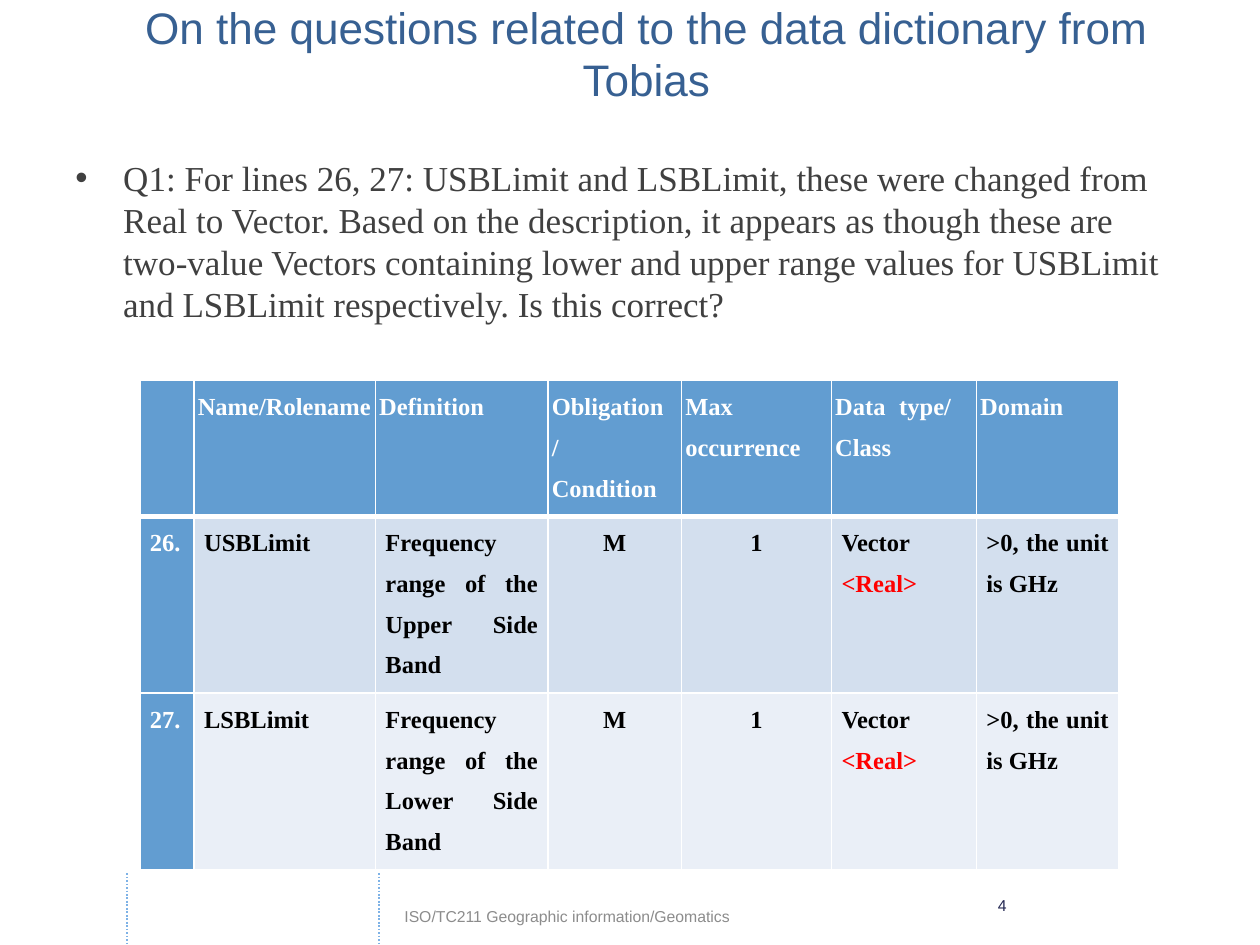
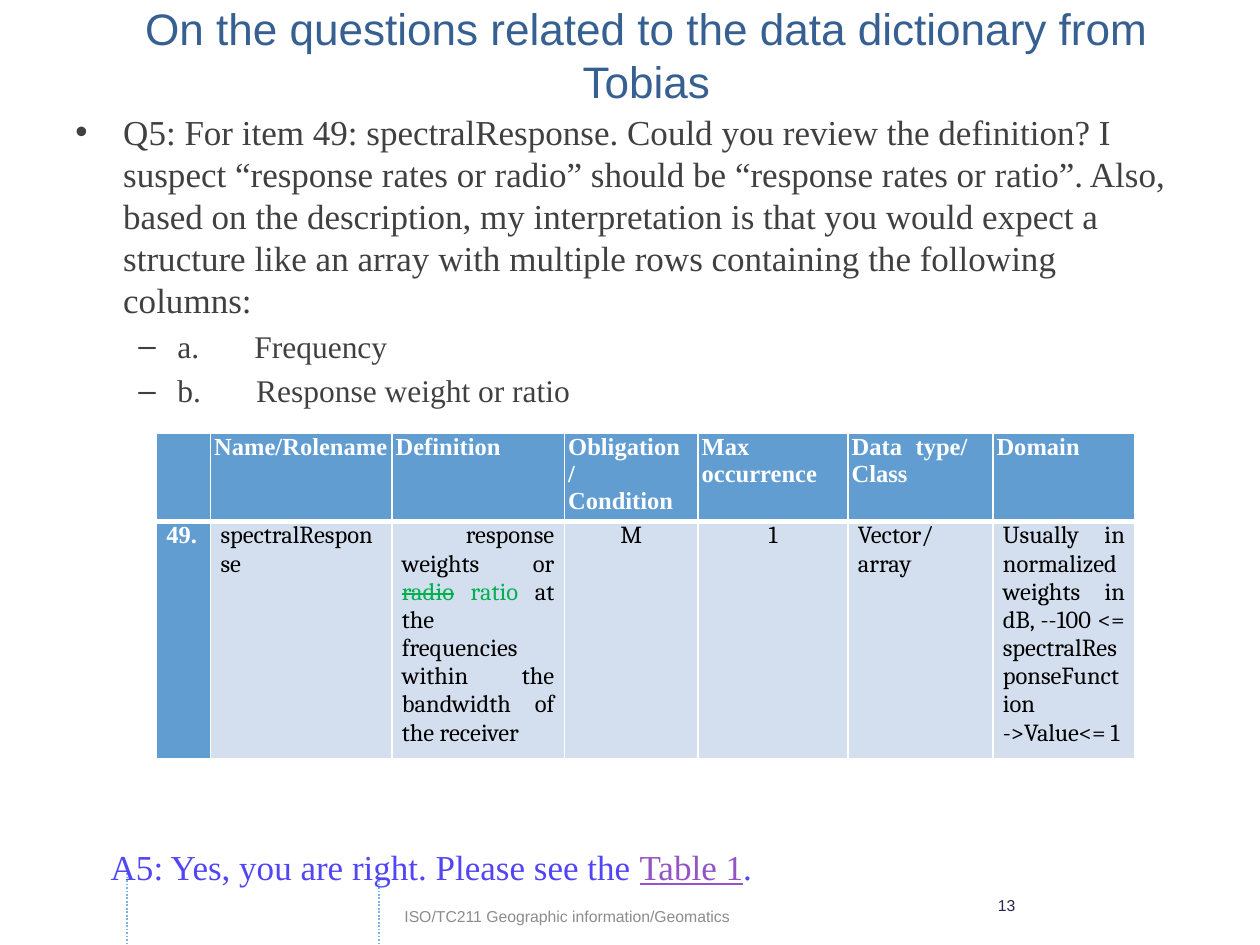
"""Build two data dictionary question slides with a shared title, footer and table style."""
import dataclasses

import pptx
import pptx.dml.color
import pptx.enum.dml
import pptx.enum.shapes
import pptx.enum.text
import pptx.oxml.ns
import pptx.util
from lxml import etree

Inches = pptx.util.Inches
Pt = pptx.util.Pt
Align = pptx.enum.text.PP_ALIGN
Anchor = pptx.enum.text.MSO_ANCHOR
qn = pptx.oxml.ns.qn


@dataclasses.dataclass(frozen=True)
class Theme:
    title_color: str = "376092"
    body_color: str = "404040"
    footer_color: str = "8C8C8C"
    number_color: str = "242852"
    guide_color: str = "7EB2E6"
    answer_color: str = "5245F7"
    link_color: str = "9454C3"
    header_fill: str = "629DD1"
    row_fills: tuple = ("D3DFEE", "EAEFF7")
    white: str = "FFFFFF"
    black: str = "000000"
    red: str = "FF0000"
    green: str = "00B050"
    sans: str = "Arial"
    serif: str = "Times New Roman"
    cell_serif: str = "Cambria"
    title_size: float = 25.2
    body_size: float = 20
    item_size: float = 18
    table_size: float = 14
    footer_size: float = 9


@dataclasses.dataclass(frozen=True)
class Span:
    text: str
    color: str = ""
    underline: bool = False
    strike: bool = False
    tracking: float = 0


THEME = Theme()
TITLE = "On the questions related to the data dictionary from Tobias"
FOOTER = "ISO/TC211 Geographic information/Geomatics"
HEADINGS = ["", "Name/Rolename", "Definition", "Obligation/ Condition",
            "Max occurrence", "Data type/ Class", "Domain"]
COLUMN_WIDTHS = [0.43, 1.44, 1.37, 1.06, 1.19, 1.15, 1.13]
HEADING_RIGHT_MARGINS = [0, 0, 0, 0.11, 0.11, 0.2, 0]
CENTERED_COLUMNS = (3, 4)


class SlideBuilder:
    def __init__(self, theme):
        self.theme = theme
        self.deck = pptx.Presentation()
        self.deck.slide_width, self.deck.slide_height = Inches(10), Inches(7.5)
        self.page = None

    def color(self, value):
        return pptx.dml.color.RGBColor.from_string(value)

    def start_page(self, number, title_anchor):
        self.page = self.deck.slides.add_slide(self.deck.slide_layouts[5])
        title = self.page.shapes.title
        title.left, title.top = Inches(0.5), Inches(0.01)
        title.width, title.height = Inches(9.26), Inches(0.82)
        frame = title.text_frame
        frame.auto_size = pptx.enum.text.MSO_AUTO_SIZE.NONE
        frame.word_wrap = False
        frame.vertical_anchor = title_anchor
        frame.margin_top = frame.margin_bottom = 0
        self.fill_para(frame.paragraphs[0], [TITLE], self.theme.title_size,
                       self.theme.title_color, self.theme.sans, align=Align.CENTER)
        self.footer(number)

    def footer(self, number):
        for x in (1.01, 3.01):
            self.guide(x)
        entries = [(FOOTER, 3.21, 7.2, 3.93, self.theme.footer_color),
                   (str(number), 7.92, 7.11, 0.22, self.theme.number_color)]
        for text, left, top, width, color in entries:
            frame = self.text_box(left, top, width, 0.15, margin=0)
            self.fill_para(frame.paragraphs[0], [text], self.theme.footer_size,
                           color, self.theme.sans)

    def guide(self, x):
        line = self.page.shapes.add_connector(
            pptx.enum.shapes.MSO_CONNECTOR.STRAIGHT,
            Inches(x), Inches(6.93), Inches(x), Inches(7.5))
        line.line.color.rgb = self.color(self.theme.guide_color)
        line.line.width = Pt(1)
        line.line.dash_style = pptx.enum.dml.MSO_LINE.ROUND_DOT
        etree.SubElement(line._element.spPr, qn("a:effectLst"))

    def text_box(self, left, top, width, height, margin=None):
        box = self.page.shapes.add_textbox(
            Inches(left), Inches(top), Inches(width), Inches(height))
        frame = box.text_frame
        frame.word_wrap = True
        if margin is not None:
            frame.margin_left = frame.margin_right = Inches(margin)
            frame.margin_top = frame.margin_bottom = Inches(margin)
        return frame

    def fill_para(self, para, spans, size, color, font, bold=False, align=None,
                  before=0, spacing=None):
        para.alignment = align
        para.space_before = Pt(before)
        if spacing:
            para.line_spacing = spacing
        para.font.size = Pt(size)
        para.font.name = font
        para.font.bold = bold
        para.font.color.rgb = self.color(color)
        for item in spans:
            span = item if isinstance(item, Span) else Span(item)
            run = para.add_run()
            run.text = span.text
            if span.color:
                run.font.color.rgb = self.color(span.color)
            if span.underline:
                run.font.underline = True
            if span.strike:
                run.font._element.set("strike", "sngStrike")
            if span.tracking:
                run.font._element.set("spc", str(round(span.tracking * 100)))

    def bullet(self, para, mark, left, hanging):
        properties = para._p.get_or_add_pPr()
        properties.set("marL", str(Inches(left)))
        properties.set("indent", str(-Inches(hanging)))
        etree.SubElement(properties, qn("a:buFont"), typeface=self.theme.sans)
        etree.SubElement(properties, qn("a:buChar"), char=mark)

    def question(self, top, text, items=()):
        frame = self.text_box(0.5, top, 9, 4.95)
        para = frame.paragraphs[0]
        self.bullet(para, "•", 0.38, 0.38)
        self.fill_para(para, [text], self.theme.body_size, self.theme.body_color,
                       self.theme.serif, before=4)
        for label, name in items:
            para = frame.add_paragraph()
            self.bullet(para, "–", 0.81, 0.31)
            self.fill_para(para, [label, Span(" ", tracking=27), name],
                           self.theme.item_size, self.theme.body_color,
                           self.theme.serif, before=3.6)

    def answer(self, spans):
        frame = self.text_box(0.78, 6.66, 6.91, 0.44)
        self.fill_para(frame.paragraphs[0], spans, self.theme.body_size,
                       self.theme.answer_color, self.theme.serif)

    def dictionary(self, left, top, row_heights, entries, font, bold, spacing=None):
        table = self.page.shapes.add_table(
            len(entries) + 1, len(HEADINGS), Inches(left), Inches(top),
            Inches(sum(COLUMN_WIDTHS)), Inches(sum(row_heights))).table
        for column, width in zip(table.columns, COLUMN_WIDTHS):
            column.width = Inches(width)
        for row, height in zip(table.rows, row_heights):
            row.height = Inches(height)
        for index, heading in enumerate(HEADINGS):
            self.cell(table.cell(0, index), [heading] if heading else [],
                      self.theme.header_fill, self.theme.white, self.theme.serif,
                      True, (0.03, HEADING_RIGHT_MARGINS[index]), 1,
                      Align.JUSTIFY, spacing, bottom=3)
        for row, entry in enumerate(entries, 1):
            for index, spans in enumerate(entry):
                is_number = index == 0
                fill = self.theme.header_fill if is_number else self.theme.row_fills[row - 1]
                self.cell(table.cell(row, index), spans, fill,
                          self.theme.white if is_number else self.theme.black,
                          self.theme.serif if is_number else font,
                          bold or is_number, (0.08, 0 if is_number else 0.08), 1.5,
                          Align.CENTER if index in CENTERED_COLUMNS else Align.JUSTIFY,
                          spacing, top=3 if row == 1 else 1)

    def cell(self, cell, spans, fill, color, font, bold, margins, before, align,
             spacing, top=1, bottom=1):
        cell.margin_left, cell.margin_right = map(Inches, margins)
        cell.margin_top = cell.margin_bottom = 0
        cell.fill.solid()
        cell.fill.fore_color.rgb = self.color(fill)
        properties = cell._tc.get_or_add_tcPr()
        sides = [("lnL", 1), ("lnR", 1), ("lnT", top), ("lnB", bottom)]
        for position, (side, width) in enumerate(sides):
            border = etree.Element(qn("a:" + side), w=str(Pt(width)))
            solid = etree.SubElement(border, qn("a:solidFill"))
            etree.SubElement(solid, qn("a:srgbClr"), val=self.theme.white)
            properties.insert(position, border)
        self.fill_para(cell.text_frame.paragraphs[0], spans, self.theme.table_size,
                       color, font, bold, align, before, spacing)


def limit_entry(number, name, side):
    return [[number], [name], [f"Frequency range of the {side} Side Band"], ["M"], ["1"],
            ["Vector ", Span("<Real>", THEME.red)], [">0, the unit is GHz"]]


def main():
    builder = SlideBuilder(THEME)

    builder.start_page(4, Anchor.MIDDLE)
    builder.question(
        1.19,
        "Q1: For lines 26, 27: USBLimit and LSBLimit, these were changed from Real to "
        "Vector. Based on the description, it appears as though these are two-value "
        "Vectors containing lower and upper range values for USBLimit and LSBLimit "
        "respectively. Is this correct?")
    builder.dictionary(
        1.11, 3.02, [1.08, 1.17, 1.17],
        [limit_entry("26.", "USBLimit", "Upper"), limit_entry("27.", "LSBLimit", "Lower")],
        THEME.serif, bold=True, spacing=1.5)

    builder.start_page(13, Anchor.TOP)
    builder.question(
        0.83,
        "Q5: For item 49: spectralResponse. Could you review the definition? I suspect "
        "“response rates or radio” should be “response rates or ratio”. Also, based on "
        "the description, my interpretation is that you would expect a structure like an "
        "array with multiple rows containing the following columns:",
        [("a.", "Frequency"), ("b.", "Response weight or ratio")])
    response_entry = [
        ["49."], ["spectralResponse"],
        [" response weights or ", Span("radio", THEME.green, strike=True),
         Span(" ratio ", THEME.green),
         "at the frequencies within the bandwidth of the receiver"],
        ["M"], ["1"], ["Vector/array"],
        ["Usually in normalized weights in dB, --100 <= spectralResponseFunction ",
         Span("->Value<= 1", tracking=-0.1)]]
    builder.dictionary(1.24, 3.44, [0.23, 1.88], [response_entry],
                       THEME.cell_serif, bold=False)
    builder.answer(["A5: Yes, you are right. Please see the ",
                    Span("Table 1", THEME.link_color, underline=True), "."])

    builder.deck.save("out.pptx")


if __name__ == "__main__":
    main()
